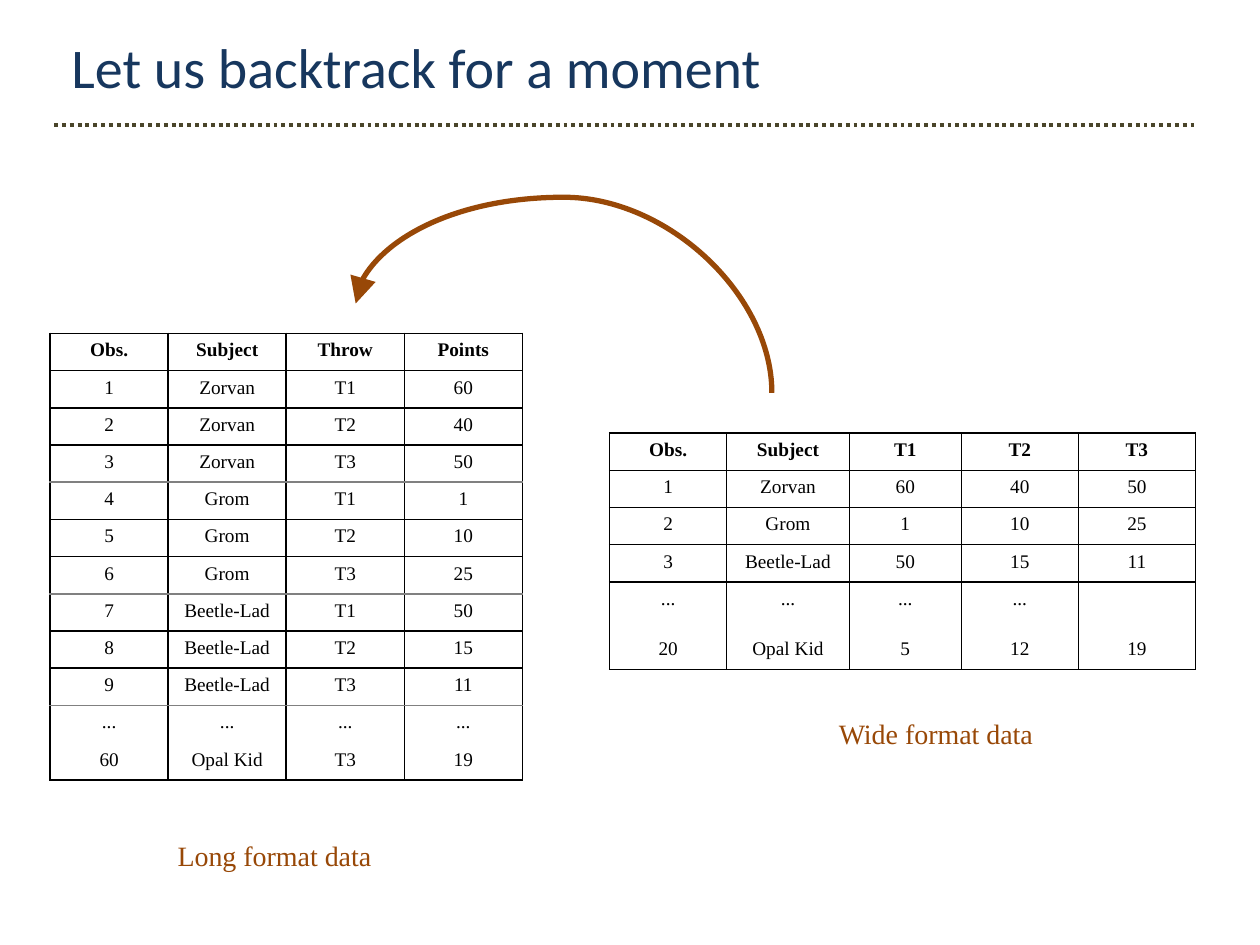
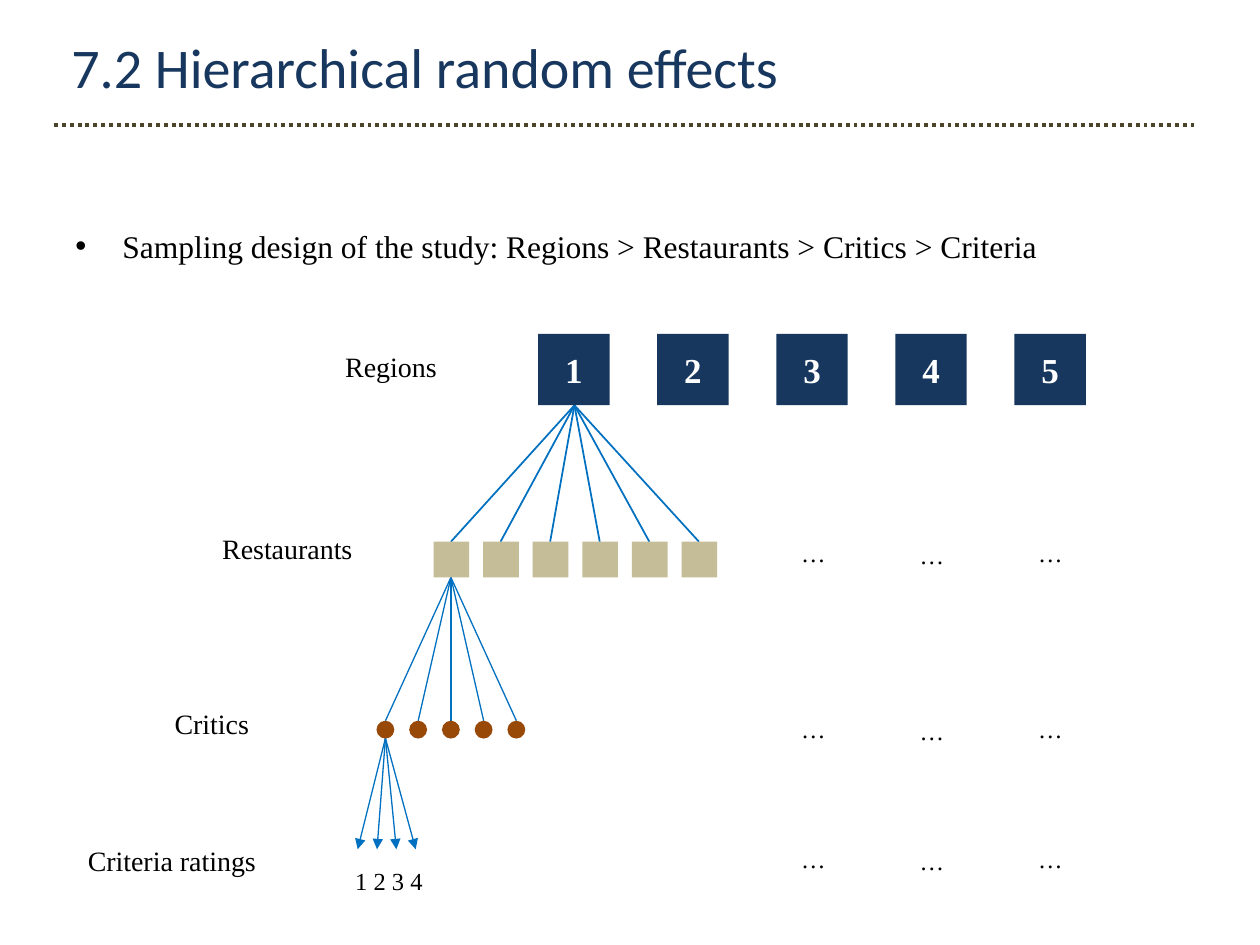
from lxml import etree
from pptx import Presentation
from pptx.dml.color import RGBColor
from pptx.enum.dml import MSO_LINE
from pptx.enum.shapes import MSO_CONNECTOR, MSO_SHAPE
from pptx.enum.text import MSO_ANCHOR, PP_ALIGN
from pptx.oxml.ns import qn
from pptx.util import Cm, Pt

NAVY = RGBColor(0x17, 0x37, 0x5E)
OLIVE = RGBColor(0x4A, 0x45, 0x2A)
RUST = RGBColor(0x98, 0x48, 0x07)
BLUE = RGBColor(0x00, 0x70, 0xC0)
SAND = RGBColor(0xC4, 0xBD, 0x97)
BLACK = RGBColor(0x00, 0x00, 0x00)
GREY = RGBColor(0x80, 0x80, 0x80)
WHITE = RGBColor(0xFF, 0xFF, 0xFF)

HEAD, BODY = "Calibri", "Times New Roman"
DOTTED = MSO_LINE.ROUND_DOT
STRAIGHT, CURVE = MSO_CONNECTOR.STRAIGHT, MSO_CONNECTOR.CURVE
RECT, OVAL = MSO_SHAPE.RECTANGLE, MSO_SHAPE.OVAL
CENTER, MIDDLE = PP_ALIGN.CENTER, MSO_ANCHOR.MIDDLE

THROWS = ("T1", "T2", "T3")
SCORES = (("Zorvan", (60, 40, 50)), ("Grom", (1, 10, 25)), ("Beetle-Lad", (50, 15, 11)))
LAST = "Opal Kid"


class Deck:
    """Hold the shared style and the current slide."""

    def __init__(self):
        self.prs = Presentation()
        self.prs.slide_width, self.prs.slide_height = Cm(25.4), Cm(19.05)
        self.shapes = None

    def page(self, title):
        self.shapes = self.prs.slides.add_slide(self.prs.slide_layouts[6]).shapes
        self.text(title, 1.19, 0.53, 22.7, 1.6, 32, NAVY, HEAD, wrap=True)
        self.line((1.09, 2.52), (24.1, 2.52), OLIVE, 2.25).line.dash_style = DOTTED

    def run(self, para, words, size, color, font=BODY, bold=False):
        run = para.add_run()
        run.text = words
        run.font.name, run.font.size, run.font.bold = font, Pt(size), bold
        run.font.color.rgb = color

    def text(self, words, x, y, w, h, size=16, color=BLACK, font=BODY, wrap=False):
        frame = self.shapes.add_textbox(Cm(x), Cm(y), Cm(w), Cm(h)).text_frame
        frame.word_wrap = wrap
        para = frame.paragraphs[0]
        self.run(para, words, size, color, font)
        return para

    def bullet(self, words, x, y, w, h, size):
        para = self.text(words, x, y, w, h, size, wrap=True)
        para.space_before = Pt(3.6)
        props = para._p.get_or_add_pPr()
        props.set("marL", str(Cm(0.95)))
        props.set("indent", str(-Cm(0.95)))
        etree.SubElement(props, qn("a:buFont"), typeface="Arial")
        etree.SubElement(props, qn("a:buChar"), char="•")

    def line(self, start, end, color, width, tip=None, kind=STRAIGHT):
        link = self.shapes.add_connector(kind, *map(Cm, start + end))
        link.line.color.rgb, link.line.width = color, Pt(width)
        props = link._element.spPr
        if tip:
            etree.SubElement(props.find(qn("a:ln")), qn("a:tailEnd"),
                             type="triangle", w=tip, len=tip)
        etree.SubElement(props, qn("a:effectLst"))
        return link

    def arc(self, start, end, bend, color, width):
        """Draw a curved arrow that leaves upward and lands downward."""
        (x1, y1), (x2, y2) = start, end
        mid_x, mid_y = (x1 + x2) / 2, (y1 + y2) / 2
        half_w, half_h = (y1 - y2) / 2, (x1 - x2) / 2
        link = self.line((mid_x - half_w, mid_y + half_h), (mid_x + half_w, mid_y - half_h),
                         color, width, "lg", CURVE)
        props = link._element.spPr
        props.find(qn("a:xfrm")).set("rot", str(270 * 60000))
        guides = props.find(qn("a:prstGeom")).find(qn("a:avLst"))
        etree.SubElement(guides, qn("a:gd"), name="adj1", fmla=f"val {round(bend * 100000)}")

    def fan(self, start, ends, width, tip=None):
        for end in ends:
            self.line(start, end, BLUE, width, tip)

    def row(self, kind, x, y, size, step, count, color, marked=False):
        for i in range(count):
            shape = self.shapes.add_shape(kind, Cm(x + i * step), Cm(y), Cm(size), Cm(size))
            shape.shadow.inherit = False
            shape.fill.solid()
            shape.fill.fore_color.rgb = color
            shape.line.fill.background()
            if marked:
                frame = shape.text_frame
                frame.vertical_anchor = MIDDLE
                frame.paragraphs[0].alignment = CENTER
                self.run(frame.paragraphs[0], str(i + 1), 20, WHITE, bold=True)

    def border(self, cell, colors):
        props = cell._tc.get_or_add_tcPr()
        for i, (side, color) in enumerate(zip("LRTB", colors)):
            edge = etree.Element(qn(f"a:ln{side}"), w=str(Pt(0.96)))
            if color is None:
                etree.SubElement(edge, qn("a:noFill"))
            else:
                fill = etree.SubElement(edge, qn("a:solidFill"))
                etree.SubElement(fill, qn("a:srgbClr"), val=str(color))
            props.insert(i, edge)

    def table(self, x, y, widths, height, rows, rules):
        """Draw a grid; rules gives the colour above each row and below the last."""
        frame = self.shapes.add_table(len(rows), len(widths), Cm(x), Cm(y),
                                      Cm(sum(widths)), Cm(height * len(rows)))
        grid = frame.table
        grid.first_row = grid.horz_banding = False
        for col, width in zip(grid.columns, widths):
            col.width = Cm(width)
        for r, values in enumerate(rows):
            grid.rows[r].height = Cm(height)
            for c, value in enumerate(values):
                cell = grid.cell(r, c)
                cell.fill.background()
                self.border(cell, (BLACK, BLACK, rules[r], rules[r + 1]))
                para = cell.text_frame.paragraphs[0]
                para.alignment = CENTER
                if value != "":
                    self.run(para, str(value), 11, BLACK, bold=r == 0)


def formats(deck):
    deck.page("Let us backtrack for a moment")

    pairs = [(name, throw, point) for name, points in SCORES
             for throw, point in zip(THROWS, points)]
    long = [("Obs.", "Subject", "Throw", "Points")]
    long += [(i, *pair) for i, pair in enumerate(pairs, 1)]
    long += [("...",) * 4, (60, LAST, "T3", 19)]
    rules = [BLACK, BLACK] + [BLACK, BLACK, GREY] * 3 + [None, BLACK]
    deck.table(1.01, 6.72, (2.38,) * 4, 0.75, long, rules)

    wide = [("Obs.", "Subject", *THROWS)]
    wide += [(i, name, *points) for i, (name, points) in enumerate(SCORES, 1)]
    wide += [("...",) * 4 + ("",), (20, LAST, 5, 12, 19)]
    rules = [BLACK] * 5 + [None, BLACK]
    deck.table(12.29, 8.73, (2.36, 2.47, 2.26, 2.36, 2.36), 0.75, wide, rules)

    deck.arc((15.56, 7.92), (7.17, 6.12), 2.19, RUST, 3)
    deck.text("Long format data", 3.33, 16.78, 4.42, 0.91, color=RUST)
    deck.text("Wide format data", 16.66, 14.33, 4.42, 0.91, color=RUST)


def effects(deck):
    deck.page("7.2 Hierarchical random effects")
    deck.bullet("Sampling design of the study: Regions > Restaurants > Critics > Criteria",
                1.27, 4.45, 23.62, 13.49, 18)

    for name, x, y, w in (("Regions", 6.71, 6.93, 2.45), ("Restaurants", 4.23, 10.59, 3.25),
                          ("Critics", 3.27, 14.12, 2.1), ("Criteria ratings", 1.52, 16.89, 4)):
        deck.text(name, x, y, w, 0.91)

    deck.fan((11.58, 8.17), [(9.09 + i, 10.92) for i in range(6)], 1)
    deck.fan((9.09, 11.64), [(7.77 + 0.66 * i, 14.53) for i in range(5)], 0.75)
    deck.fan((7.77, 14.88), [(7.21 + 0.39 * i, 17.12) for i in range(4)], 0.75, "med")

    for x, drop in ((15.9, 0), (18.29, 0.04), (20.68, 0)):
        for y in (10.72, 14.27, 16.89):
            deck.text("…", x, y + drop, 0.99, 0.84, 14)

    deck.row(RECT, 10.85, 6.73, 1.44, 2.4, 5, NAVY, True)
    deck.row(RECT, 8.74, 10.92, 0.72, 1, 6, SAND)
    deck.row(OVAL, 7.59, 14.53, 0.36, 0.66, 5, RUST)
    deck.text("1 2 3 4", 6.91, 17.33, 1.9, 0.84, 14)


def main():
    deck = Deck()
    formats(deck)
    effects(deck)
    deck.prs.save("out.pptx")


if __name__ == "__main__":
    main()
